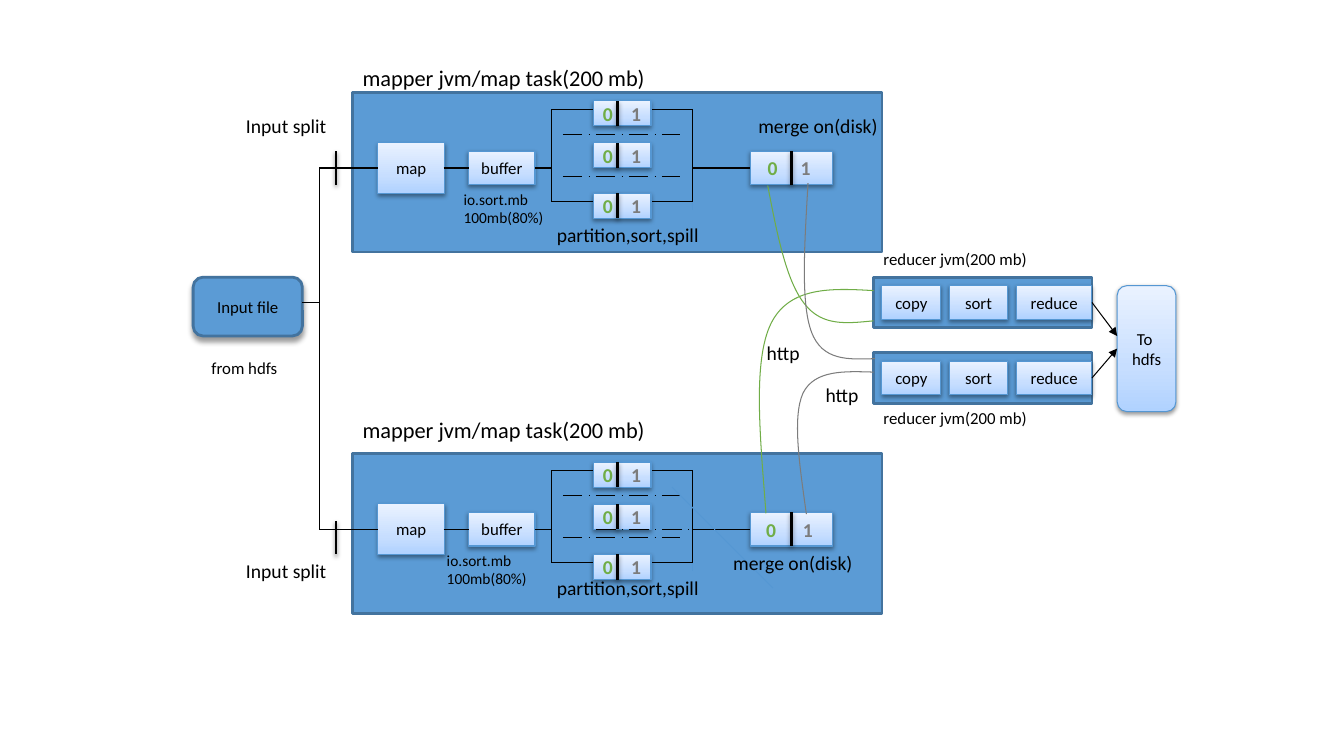
from lxml.etree import SubElement
from pptx import Presentation
from pptx.dml.color import RGBColor
from pptx.enum.shapes import MSO_CONNECTOR, MSO_SHAPE
from pptx.enum.text import MSO_ANCHOR, PP_ALIGN
from pptx.oxml import parse_xml
from pptx.oxml.ns import nsdecls, qn
from pptx.util import Emu, Inches, Pt

BLACK = RGBColor(0x00, 0x00, 0x00)
BLUE = RGBColor(0x5B, 0x9B, 0xD5)
BLUE_EDGE = RGBColor(0x43, 0x73, 0x9E)
PALE_EDGE = RGBColor(0x55, 0x97, 0xD3)
GREEN = RGBColor(0x70, 0xAD, 0x47)
GRAY = RGBColor(0x7C, 0x7C, 0x7C)
PALE_STOPS = ((0, RGBColor(0xB0, 0xD2, 0xFF)), (35, RGBColor(0xC7, 0xDE, 0xFF)),
              (100, RGBColor(0xEA, 0xF2, 0xFF)))
SOFT = (38, 3.1, 1.6)  # shadow opacity, blur, distance
HEAVY = (40, 4, 3)
DASHES = ((19, 6), (1, 6))  # dash and gap, in line widths
FONT = "Calibri"
UNIT = Inches(1) // 12  # the slide is a grid of 160 columns by 90 rows
MAPPER_STEP = 43
REDUCER_STEP = 9


def grid(*values):
    """Turn grid counts into lengths."""
    return [Emu(round(v * UNIT)) for v in values]


def set_effects(sp, shadow=None):
    """Replace the theme's shadow by the given one, or by none."""
    effects = SubElement(sp._element.spPr, qn("a:effectLst"))
    if shadow:
        alpha, blur, dist = shadow
        effects.append(parse_xml(
            f'<a:outerShdw {nsdecls("a")} blurRad="{Pt(blur)}" dist="{Pt(dist)}" '
            f'dir="5400000" rotWithShape="0"><a:srgbClr val="000000">'
            f'<a:alpha val="{alpha * 1000}"/></a:srgbClr></a:outerShdw>'))


def fill_pale(sp):
    """Fill a shape with the pale vertical gradient."""
    stops = "".join(f'<a:gs pos="{pos * 1000}"><a:srgbClr val="{color}"/></a:gs>'
                    for pos, color in PALE_STOPS)
    sp._element.spPr.insert(2, parse_xml(
        f'<a:gradFill {nsdecls("a")} rotWithShape="1"><a:gsLst>{stops}</a:gsLst>'
        f'<a:lin ang="16200000" scaled="0"/></a:gradFill>'))


def add_run(p, text, size=12, color=BLACK, bold=False):
    """Add a formatted run to a paragraph."""
    r = p.add_run()
    r.text = text
    r.font.name, r.font.size, r.font.bold = FONT, Pt(size), bold
    r.font.color.rgb = color


def write(tf, text, align=PP_ALIGN.LEFT, **style):
    """Write each line of text as a paragraph."""
    for i, line in enumerate(text.split("\n")):
        p = tf.add_paragraph() if i else tf.paragraphs[0]
        p.alignment = align
        add_run(p, line, **style)


def add_label(shapes, text, x, y, w, h, size=14):
    """Add a plain text label."""
    tf = shapes.add_textbox(*grid(x, y, w, h)).text_frame
    tf.word_wrap = True
    write(tf, text, size=size)


def add_box(shapes, x, y, w, h, text="", pale=True, rounded=False, shadow=SOFT):
    """Add a pale or solid blue box with centred text."""
    kind = MSO_SHAPE.ROUNDED_RECTANGLE if rounded else MSO_SHAPE.RECTANGLE
    sp = shapes.add_shape(kind, *grid(x, y, w, h))
    if pale:
        fill_pale(sp)
    else:
        sp.fill.solid()
        sp.fill.fore_color.rgb = BLUE
    sp.line.color.rgb = PALE_EDGE if pale else BLUE_EDGE
    sp.line.width = Pt(0.75 if pale else 2)
    set_effects(sp, shadow)
    tf = sp.text_frame
    tf.vertical_anchor = MSO_ANCHOR.MIDDLE
    if text:
        write(tf, text, align=PP_ALIGN.CENTER)
    return sp


def add_line(shapes, x1, y1, x2, y2, color=BLACK, width=0.75, dashed=False,
             arrow=False, shadow=None):
    """Add a straight line, optionally dashed or with an arrowhead."""
    line = shapes.add_connector(MSO_CONNECTOR.STRAIGHT, *grid(x1, y1, x2, y2))
    line.line.color.rgb = color
    line.line.width = Pt(width)
    ln = line._element.spPr.find(qn("a:ln"))
    if dashed:
        pattern = SubElement(ln, qn("a:custDash"))
        for dash, gap in DASHES:
            SubElement(pattern, qn("a:ds"), d=str(dash * 100000), sp=str(gap * 100000))
    if arrow:
        SubElement(ln, qn("a:tailEnd"), type="triangle")
    set_effects(line, shadow)


def add_bar(shapes, x, y, h):
    """Add a thick vertical divider."""
    add_line(shapes, x, y, x, y + h, width=2, shadow=SOFT)


def add_curve(shapes, color, *points):
    """Add a Bezier curve through a start and triples of control points."""
    start, *rest = [grid(*point) for point in points]
    builder = shapes.build_freeform(*start, scale=1.0)
    builder.add_line_segments(rest, close=False)
    sp = builder.convert_to_shape()
    route = sp._element.spPr.find(".//" + qn("a:path"))
    segments = route.findall(qn("a:lnTo"))
    for i in range(0, len(segments), 3):
        bezier = SubElement(route, qn("a:cubicBezTo"))
        for segment in segments[i:i + 3]:
            bezier.append(segment[0])
            route.remove(segment)
    sp.fill.background()
    sp.line.color.rgb = color
    sp.line.width = Pt(0.75)
    set_effects(sp)


def add_partitions(shapes, x, y, w, h, inset=1.2, gap=3.36, split=2.9):
    """Add a box holding partitions 0 and 1 with a divider."""
    sp = add_box(shapes, x, y, w, h)
    tf = sp.text_frame
    tf.margin_left, tf.margin_right = grid(inset, 0)
    p = tf.paragraphs[0]
    p.alignment = PP_ALIGN.LEFT
    tabs = SubElement(p._p.get_or_add_pPr(), qn("a:tabLst"))
    SubElement(tabs, qn("a:tab"), pos=str(grid(gap)[0]), algn="l")
    add_run(p, "0\t", size=14, color=GREEN, bold=True)
    add_run(p, "1", size=14, color=GRAY, bold=True)
    add_bar(shapes, x + split, y, h)


def add_mapper(shapes, dy, inset, gap):
    """Add a map task: map, buffer, spills and the merged output."""
    left, right, top, bottom, middle = 65.6, 82.4, 13 + dy, 24 + dy, 20 + dy
    add_box(shapes, 42, 11 + dy, 63, 19, pale=False, shadow=None)
    add_box(shapes, 45, 17 + dy, 7.9, 6, "map")
    add_box(shapes, 55.8, 18 + dy, 7.9, 4, "buffer")
    add_line(shapes, right, top, right, bottom + 1, color=PALE_EDGE)
    for x in (left, right):
        add_line(shapes, x, top, x, bottom)
    for y in (top, bottom):
        add_line(shapes, left, y, 70.6, y)
        add_line(shapes, 77.5, y, right, y)
    for y in (12, 17, 23):
        add_partitions(shapes, 70.6, y + dy, 6.9, 3)
    add_partitions(shapes, 89.3, 18 + dy, 9.8, 4, inset, gap, split=4.9)
    for x1, x2 in ((38, 45), (52.8, 55.8), (63.7, left), (right, 89.3)):
        add_line(shapes, x1, middle, x2, middle)
    for y in (16, 21):
        add_line(shapes, 67, y + dy, 81, y + dy, dashed=True)


def add_reducer(shapes, dy):
    """Add a reduce task as a group of its three steps."""
    group = shapes.add_group_shape().shapes
    add_box(group, 104, 33 + dy, 26, 6, pale=False, shadow=None)
    for text, x, w in (("copy", 105, 7), ("sort", 113, 7), ("reduce", 121, 9)):
        add_box(group, x, 34 + dy, w, 4, text)


def add_transfers(shapes):
    """Add the curves that carry partitions to the reducers."""
    add_curve(shapes, GREEN, (91.4, 22.1), (92.5, 27.8), (93.6, 33.5), (95.8, 36.2),
              (97.9, 38.9), (100.9, 38.5), (104, 38.2))
    add_curve(shapes, GRAY, (96, 61.2), (95.2, 55.4), (94.3, 49.7), (95.6, 46.8),
              (97, 44), (100.6, 44.2), (104, 44.3))
    add_curve(shapes, GREEN, (91.2, 61.1), (90.5, 52), (89.6, 43), (91.8, 38.5),
              (94, 34.1), (99, 34.3), (104, 34.6))
    add_curve(shapes, GRAY, (96.2, 21.8), (95.8, 28.9), (95.3, 36), (96.6, 39.5),
              (97.9, 43), (101, 42.8), (104.2, 42.7))


def add_labels(shapes):
    """Add the captions around the tasks."""
    for x, y in ((90.1, 40), (97.1, 45)):
        add_label(shapes, "http", x, y, 7, 4)
    for y in (7, 49):
        add_label(shapes, "mapper jvm/map task(200 mb)", 42, y, 43, 4.3, size=16)
    for y in (29, 48):
        add_label(shapes, "reducer jvm(200 mb)", 104, y, 26, 3.6, size=12)
    for y in (13, 66):
        add_label(shapes, "Input split", 28.1, y, 13, 4)
    for y in (26, 68):
        add_label(shapes, "partition,sort,spill", 65.1, y, 20.5, 4)
    for x, y in ((89.1, 13), (86.1, 65)):
        add_label(shapes, "merge on(disk)", x, y, 17.5, 4)
    for x, y in ((54, 22), (52, 65)):
        add_label(shapes, "io.sort.mb\n100mb(80%)", x, y, 13.3, 5.5, size=11)
    add_label(shapes, "from hdfs", 24, 42, 11.5, 3.6, size=12)


def main():
    """Build the map and reduce flow slide."""
    prs = Presentation()
    prs.slide_width, prs.slide_height = grid(160, 90)
    shapes = prs.slides.add_slide(prs.slide_layouts[6]).shapes
    add_box(shapes, 23, 33, 13, 7, "Input file", pale=False, rounded=True, shadow=HEAVY)
    add_line(shapes, 38, 20, 38, 63)
    add_line(shapes, 36, 36, 38, 36)
    add_mapper(shapes, 0, inset=2.1, gap=3.9)
    add_mapper(shapes, MAPPER_STEP, inset=1.9, gap=4.4)
    add_line(shapes, 80, 58, 92, 70, color=PALE_EDGE)
    add_line(shapes, 71, 63, 85, 63, dashed=True)
    for dy in (0, REDUCER_STEP):
        add_reducer(shapes, dy)
    add_box(shapes, 133, 34, 7, 15, "To \nhdfs", rounded=True)
    add_line(shapes, 130, 36, 133, 40, arrow=True)
    add_line(shapes, 130, 45, 133, 41.5, arrow=True)
    add_transfers(shapes)
    for y in (18, 62):
        add_bar(shapes, 40, y, 4)
    add_labels(shapes)
    prs.save("out.pptx")


main()
